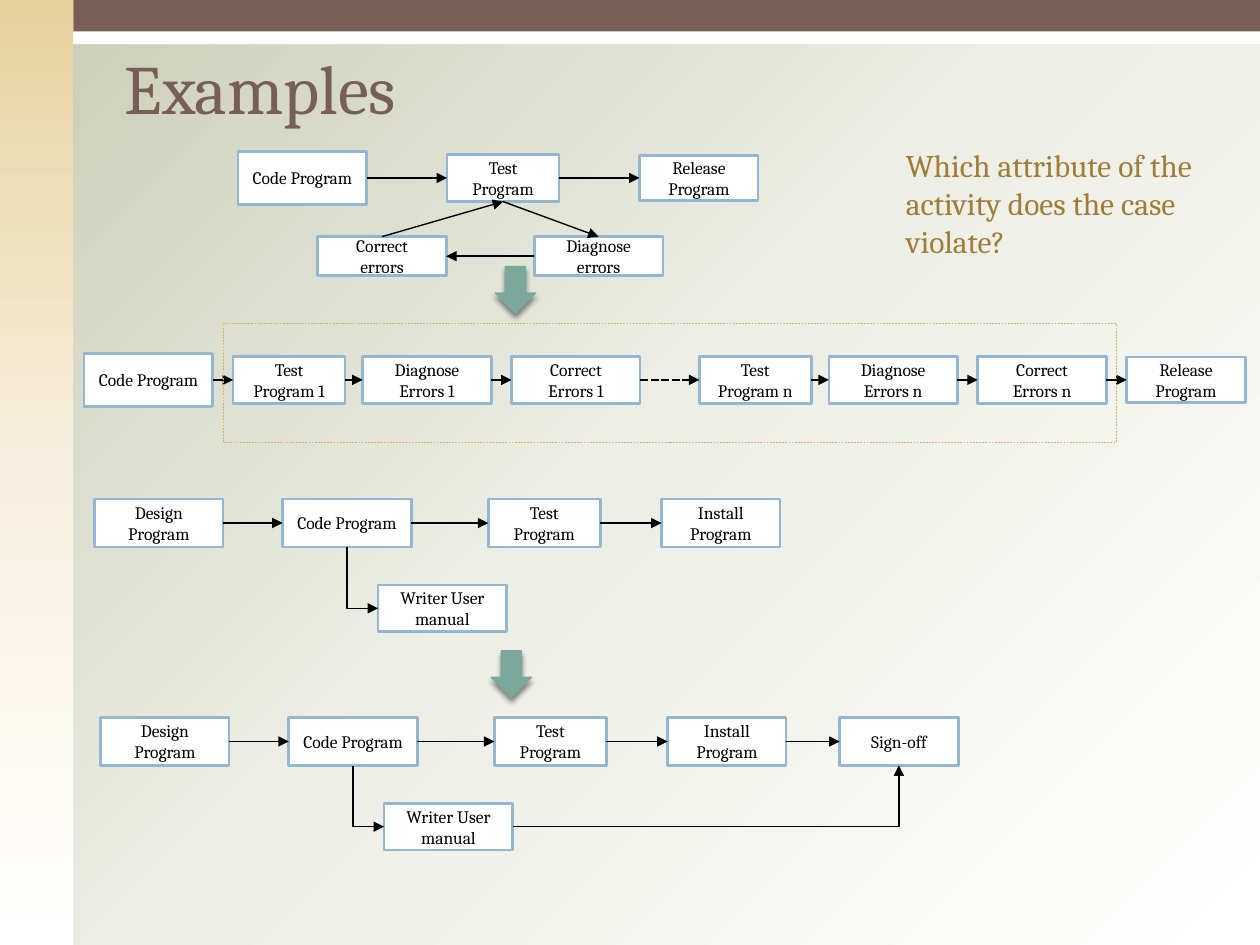
from copy import deepcopy

from lxml import etree
from pptx import Presentation, util as u
from pptx.dml.color import RGBColor
from pptx.enum import dml, shapes, text
from pptx.oxml import ns

Pt = u.Pt
FONT = "Cambria"
COLORS = {
    "brown": "775F55", "gold": "A17C36", "frame": "D8B25C", "box_line": "94B6D2",
    "green": "7BA79D", "black": "000000", "white": "FFFFFF",
}
PAGE_FADE = ["C9CDB3", "EDEEE6", "FFFFFF"]
SIDE_FADE = ["E8D19D", "F7F0DE", "FFFFFF"]
WIDE, NARROW, END = 73.5, 64, 67.8      # widths of the activity boxes
TOP, LEFT, BOTTOM, RIGHT = range(4)     # connection sites of a rectangle


def rgb(name):
    return RGBColor.from_string(COLORS[name])


def set_font(frame, size, color, align=None):
    for paragraph in frame.paragraphs:
        paragraph.alignment = align
        paragraph.font.name = FONT
        paragraph.font.size = Pt(size)
        paragraph.font.color.rgb = rgb(color)


def fade(fill, element, hexes, angle):
    """Gradient with three evenly spaced stops."""
    fill.gradient()
    fill.gradient_angle = angle
    stop_list = element.find(".//" + ns.qn("a:gsLst"))
    stop_list.append(deepcopy(stop_list[-1]))
    for i, (stop, value) in enumerate(zip(fill.gradient_stops, hexes)):
        stop.position = i / 2
        stop.color.rgb = RGBColor.from_string(value)


def add_shape(slide, left, top, width, height, fill=None, line=None, weight=1.5,
              preset=shapes.MSO_SHAPE.RECTANGLE):
    shape = slide.shapes.add_shape(preset, Pt(left), Pt(top), Pt(width), Pt(height))
    shape.shadow.inherit = False
    if fill:
        shape.fill.solid()
        shape.fill.fore_color.rgb = rgb(fill)
    else:
        shape.fill.background()
    if line:
        shape.line.color.rgb = rgb(line)
        shape.line.width = Pt(weight)
    else:
        shape.line.fill.background()
    return shape


def activity(slide, left, middle, width, height, label):
    box = add_shape(slide, left, middle - height / 2, width, height, "white", "box_line")
    box.text_frame.word_wrap = True
    box.text_frame.vertical_anchor = text.MSO_ANCHOR.MIDDLE
    box.text_frame.text = label
    set_font(box.text_frame, 10, "black", text.PP_ALIGN.CENTER)
    return box


def style_arrow(arrow, weight=0.79, dash=None):
    arrow.line.color.rgb = rgb("black")
    arrow.line.width = Pt(weight)
    if dash:
        arrow.line.dash_style = dash
    properties = arrow.element.spPr
    etree.SubElement(properties.find(ns.qn("a:ln")), ns.qn("a:tailEnd"), type="triangle")
    etree.SubElement(properties, ns.qn("a:effectLst"))


def link(slide, source, source_site, target, target_site, **style):
    arrow = slide.shapes.add_connector(shapes.MSO_CONNECTOR.STRAIGHT, 0, 0, 0, 0)
    arrow.begin_connect(source, source_site)
    arrow.end_connect(target, target_site)
    style_arrow(arrow, **style)


def bend(slide, begin, end, down_first=False):
    """Arrow with one corner: across then up, or down then across."""
    (x1, y1), (x2, y2) = begin, end
    if down_first:  # lay out the unturned box around the same centre
        cx, cy, dx, dy = (x1 + x2) // 2, (y1 + y2) // 2, x2 - x1, y2 - y1
        x1, y1, x2, y2 = cx + dy // 2, cy - dx // 2, cx - dy // 2, cy + dx // 2
    arrow = slide.shapes.add_connector(shapes.MSO_CONNECTOR.ELBOW, x1, y1, x2, y2)
    properties = arrow.element.spPr
    properties.find(ns.qn("a:prstGeom")).set("prst", "bentConnector2")
    if down_first:
        properties.find(ns.qn("a:xfrm")).set("rot", str(270 * 60000))
    style_arrow(arrow)


def row(slide, left, middle, steps, dashed_before=None):
    """Linked activities; each step is label, width, height, gap before it."""
    boxes = []
    for i, (label, width, height, gap) in enumerate(steps):
        left += gap
        boxes.append(activity(slide, left, middle, width, height, label))
        left += width
        if i:
            style = {"weight": 1.5, "dash": dml.MSO_LINE.SQUARE_DOT} if i == dashed_before else {}
            link(slide, boxes[i - 1], RIGHT, boxes[i], LEFT, **style)
    return boxes


def down_arrow(slide, left, top):
    arrow = add_shape(slide, left, top, 23, 26.6, "green", "green", 0.79,
                      shapes.MSO_SHAPE.DOWN_ARROW)
    effects = arrow.element.spPr.find(ns.qn("a:effectLst"))
    shadow = etree.SubElement(effects, ns.qn("a:outerShdw"), blurRad=str(Pt(3)),
                              dist=str(Pt(2.4)), dir="5400000", rotWithShape="0")
    color = etree.SubElement(shadow, ns.qn("a:srgbClr"), val=COLORS["black"])
    etree.SubElement(color, ns.qn("a:alpha"), val="45000")


def backdrop(slide, width, height):
    fade(slide.background.fill, slide.element, PAGE_FADE, 315)
    add_shape(slide, 0, 0, width, 25.2, "white")
    side = add_shape(slide, 0, 0, 42, height)
    fade(side.fill, side.element, SIDE_FADE, 270)
    add_shape(slide, 42, 0, width - 42, 18, "brown")


def heading(slide, left, top, width, height):
    title = slide.shapes.title
    title.left, title.top, title.width, title.height = map(Pt, (left, top, width, height))
    title.text_frame.text = "Examples"
    title.text_frame.auto_size = text.MSO_AUTO_SIZE.NONE
    title.text_frame.vertical_anchor = text.MSO_ANCHOR.BOTTOM
    set_font(title.text_frame, 39.6, "brown", text.PP_ALIGN.LEFT)


def question(slide, left, top, width, height):
    box = slide.shapes.add_textbox(Pt(left), Pt(top), Pt(width), Pt(height))
    box.text_frame.word_wrap = True
    box.text_frame.text = "Which attribute of the activity does the case \vviolate?"
    set_font(box.text_frame, 18, "gold")


def test_loop(slide, left, middle):
    _, test, _ = row(slide, left, middle, [
        ("Code Program", WIDE, 30.2, 0),
        ("Test Program", NARROW, 27, 46),
        ("Release Program", END, 26, 46)])
    correct, diagnose = (
        activity(slide, left + offset, middle + 44.7, WIDE, 22.3, label)
        for offset, label in ((45.5, "Correct\nerrors"), (169.3, "Diagnose\nerrors")))
    link(slide, test, BOTTOM, diagnose, TOP)
    link(slide, diagnose, LEFT, correct, RIGHT)
    link(slide, correct, TOP, test, BOTTOM)


def unrolled_loop(slide, left, middle):
    steps = [("Code Program", WIDE, 30.2, 0)]
    for number, gap in (("1", 11.6), ("n", 33.8)):
        steps += [(f"Test Program {number}", NARROW, 27, gap),
                  (f"Diagnose\nErrors {number}", WIDE, 27, 10),
                  (f"Correct\nErrors {number}", WIDE, 27, 11.6)]
    steps.append(("Release Program", END, 26, 11.6))
    row(slide, left, middle, steps, dashed_before=4)
    frame = add_shape(slide, left + 79.4, middle - 32.2, 510.4, 67.9, None, "frame", 0.25)
    frame.line.dash_style = dml.MSO_LINE.DASH


def build_process(slide, left, middle, sign_off=False):
    steps = [("Design Program", WIDE, 27.5, 0), ("Code Program", WIDE, 27.5, 34),
             ("Test Program", NARROW, 27.5, 44), ("Install Program", END, 27.5, 35)]
    if sign_off:
        steps.append(("Sign-off", END, 27.5, 30.5))
    boxes = row(slide, left, middle, steps)
    manual = activity(slide, left + 162, middle + 48.7, WIDE, 26.6, "Writer User\nmanual")
    code, last = boxes[1], boxes[-1]
    manual_middle = manual.top + manual.height // 2
    bend(slide, (code.left + code.width // 2, code.top + code.height),
         (manual.left, manual_middle), down_first=True)
    if sign_off:
        bend(slide, (manual.left + manual.width, manual_middle),
             (last.left + last.width // 2, last.top + last.height))


def main():
    prs = Presentation()
    prs.slide_width, prs.slide_height = Pt(720), Pt(540)
    slide = prs.slides.add_slide(prs.slide_layouts[5])
    backdrop(slide, 720, 540)
    heading(slide, 64, 31.7, 630, 45.4)
    # Endless test loop and its unrolled form
    test_loop(slide, 136, 101.7)
    unrolled_loop(slide, 48.1, 217.1)
    down_arrow(slide, 283, 152.4)
    # Process without and with a single end
    build_process(slide, 54, 298.9)
    build_process(slide, 57.5, 423.7, sign_off=True)
    down_arrow(slide, 280.7, 372)
    question(slide, 510.5, 80, 201, 72.7)
    prs.save("out.pptx")


if __name__ == "__main__":
    main()
